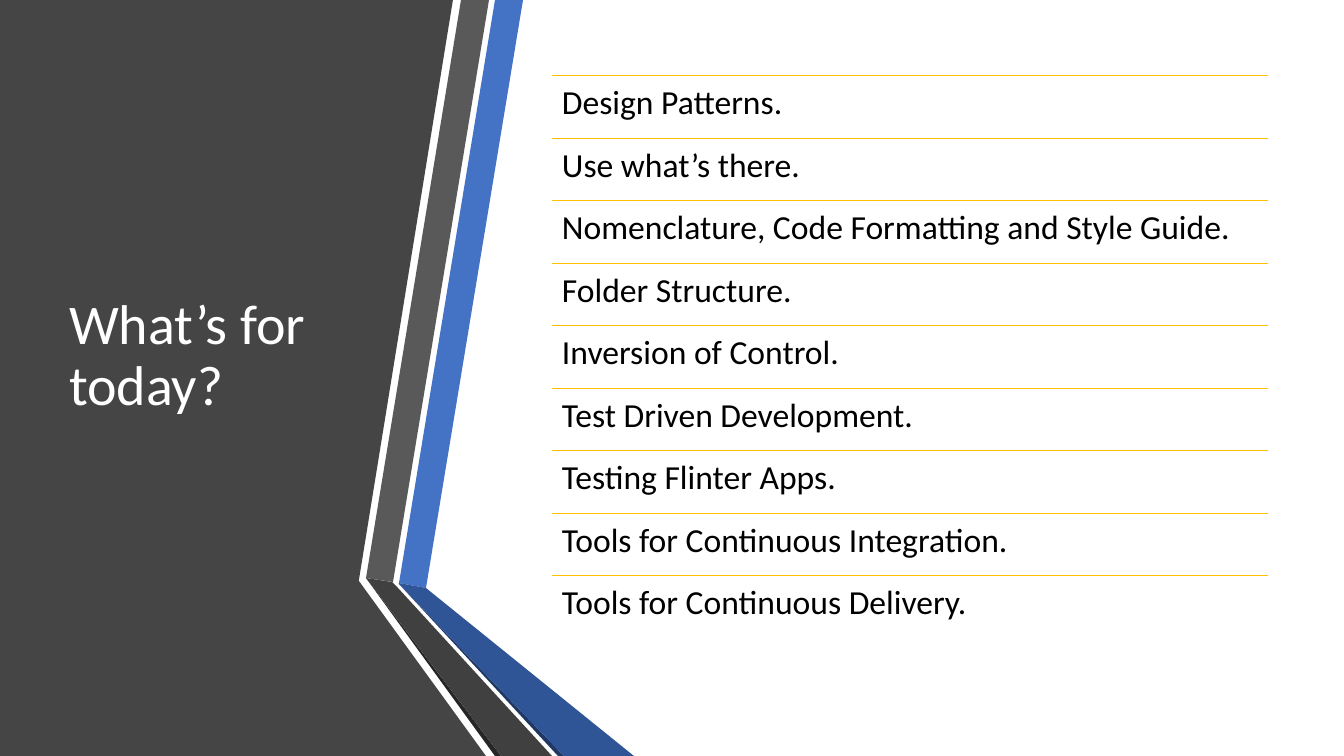
import math

from lxml import etree
from pptx import Presentation
from pptx import util as u
from pptx.dml.color import RGBColor
from pptx.enum import shapes, text
from pptx.oxml import ns

SCALE = 914400 / 100.8

HUES = {
    "panel": "454545", "blue": "4472C4", "grey": "595959",
    "black": "262626", "navy": "203864", "deep": "2F5597",
    "dark": "404040", "gold": "FFC000", "white": "FFFFFF", "ink": "000000",
}

PANEL = [(0, 0), (453, 0), (359, 580), (359, 581), (486, 756), (0, 756)]

# Folded bands, from back to front
BANDS = [
    ("blue", [(399, 583), (426, 588), (523, 0), (495, 0)]),
    ("grey", [(489, 0), (461, 0), (366, 578), (393, 582)]),
    ("black", [(366, 578), (495, 756), (501, 756)]),
    ("navy", [(399, 584), (558, 756), (564, 756)]),
    ("deep", [(399, 584), (564, 756), (634, 756), (426, 588), (399, 583)]),
    ("dark", [(552, 756), (398, 588), (392, 582), (366, 578), (501, 756)]),
]

TOPICS = [
    "Design Patterns.",
    "Use what’s there.",
    "Nomenclature, Code Formatting and Style Guide.",
    "Folder Structure.",
    "Inversion of Control.",
    "Test Driven Development.",
    "Testing Flinter Apps.",
    "Tools for Continuous Integration.",
    "Tools for Continuous Delivery.",
]

LEFT, TOP, WIDTH, PITCH = 552, 75, 716, 62.5


def px(num):
    return u.Emu(round(num * SCALE))


def color(name):
    return RGBColor.from_string(HUES[name])


def place(shape, left, top, width, height):
    shape.left, shape.top = px(left), px(top)
    shape.width, shape.height = px(width), px(height)


def write(shape, words, size, hue, anchor, inset=None):
    frame = shape.text_frame
    frame.word_wrap = True
    frame.auto_size = text.MSO_AUTO_SIZE.NONE
    frame.vertical_anchor = anchor
    if inset is not None:
        frame.margin_left = frame.margin_right = px(inset)
        frame.margin_top = frame.margin_bottom = px(inset)
    para = frame.paragraphs[0]
    para.alignment = text.PP_ALIGN.LEFT
    para.line_spacing = 0.9
    run = para.add_run()
    run.text = words
    run.font.name = "Calibri"
    run.font.size = u.Pt(size)
    run.font.color.rgb = color(hue)


def poly(parent, points, hue):
    pen = parent.build_freeform(*points[0], scale=SCALE)
    pen.add_line_segments(points[1:], close=True)
    shape = pen.convert_to_shape()
    shape.shadow.inherit = False
    shape.fill.solid()
    shape.fill.fore_color.rgb = color(hue)
    shape.line.fill.background()


def rule(parent, left, top, width):
    line = parent.add_connector(
        shapes.MSO_CONNECTOR.STRAIGHT,
        px(left), px(top), px(left + width), px(top))
    line.line.color.rgb = color("gold")
    line.line.width = u.Pt(0.5)
    etree.SubElement(line.element.spPr, ns.qn("a:effectLst"))


def topic(parent, words, top):
    rule(parent, LEFT, top, WIDTH)
    box = parent.add_textbox(px(LEFT), px(top), px(WIDTH), px(PITCH))
    write(box, words, 24, "ink", text.MSO_ANCHOR.TOP, inset=10)


def main():
    deck = Presentation()
    deck.slide_width, deck.slide_height = px(1344), px(756)
    slide = deck.slides.add_slide(deck.slide_layouts[5])
    items = slide.shapes

    # Side panel and bands
    poly(items, PANEL, "panel")
    bands = items.add_group_shape().shapes
    for hue, points in BANDS:
        poly(bands, points, hue)

    # Title, raised above the panel
    title = items.title
    place(title, 59, 76, 306, 562)
    write(title, "What’s for today?", 40, "white", text.MSO_ANCHOR.MIDDLE)
    items.element.append(title.element)

    # Agenda rows
    agenda = items.add_group_shape().shapes
    for row, words in enumerate(TOPICS):
        topic(agenda, words, TOP + math.ceil(row * PITCH))

    deck.save("out.pptx")


main()
